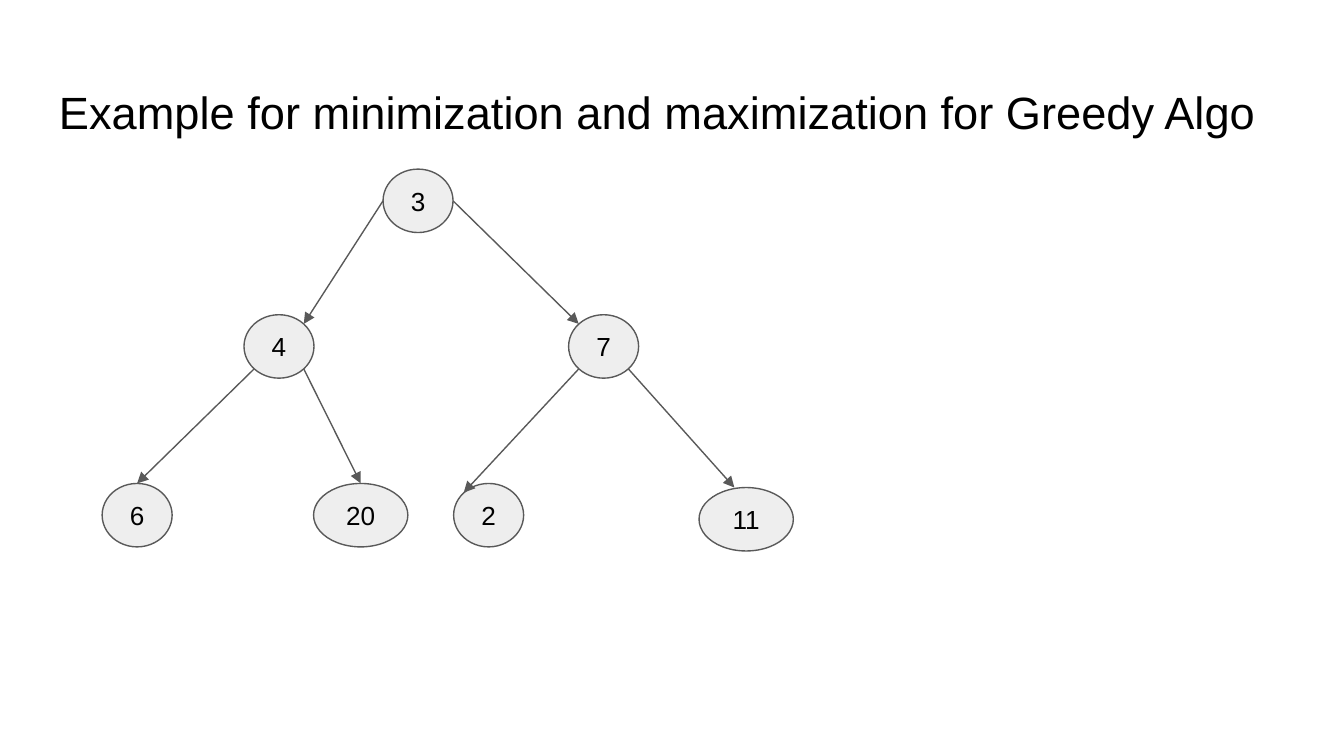
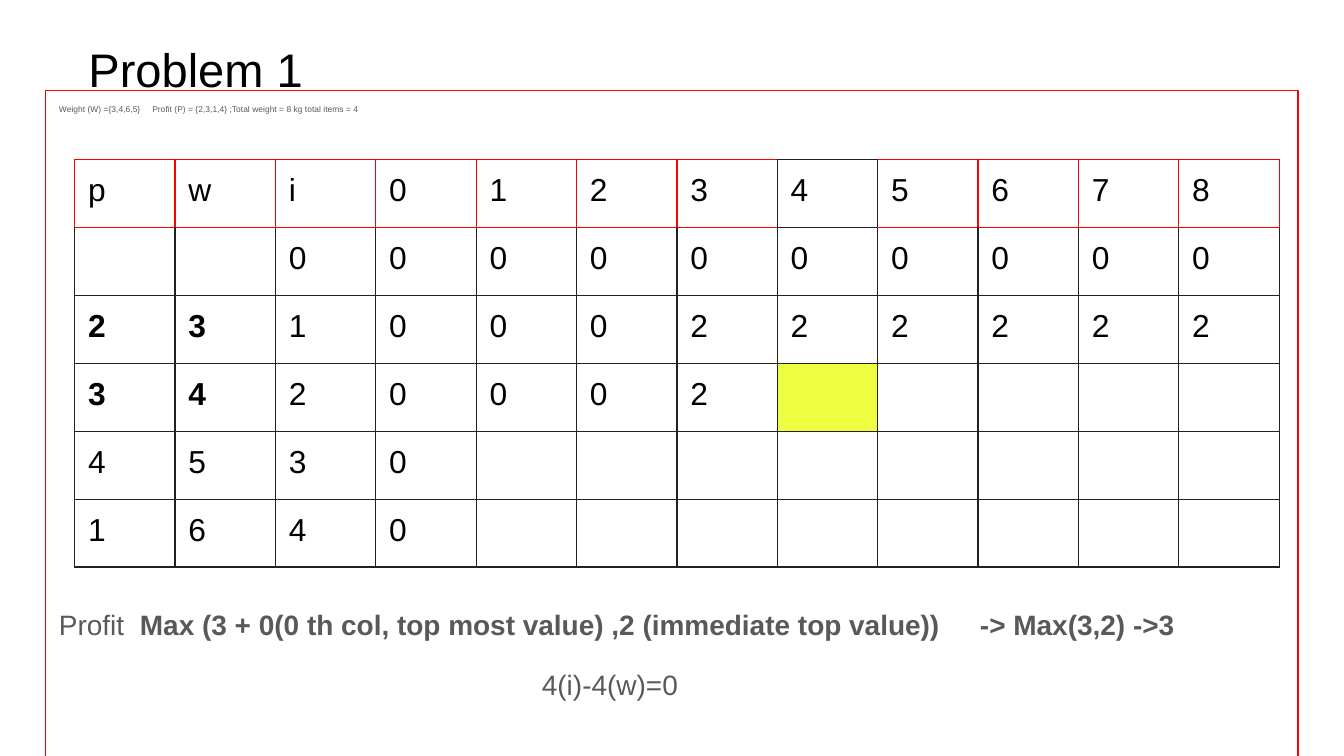
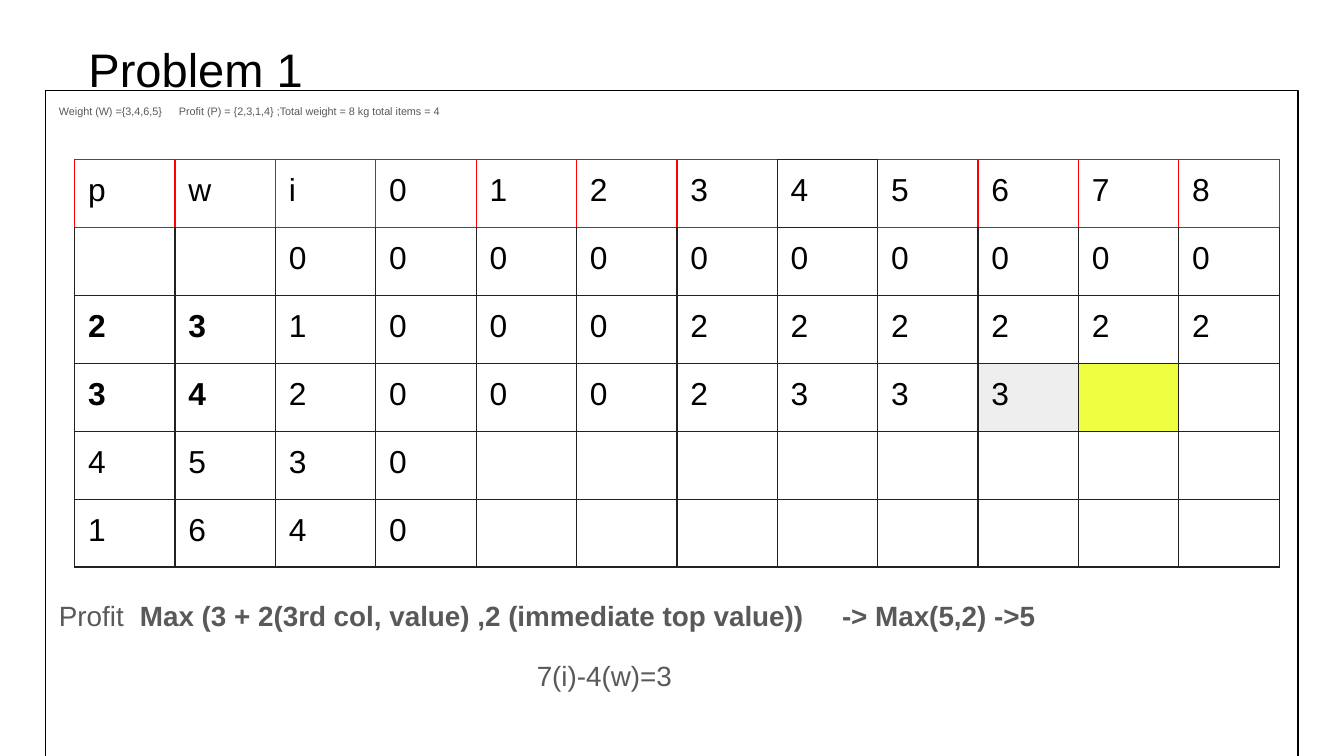
from dataclasses import dataclass

from lxml import etree
from pptx import Presentation
from pptx.dml.color import RGBColor
from pptx.enum.shapes import MSO_CONNECTOR, MSO_SHAPE
from pptx.enum.text import MSO_ANCHOR, PP_ALIGN
from pptx.oxml.ns import qn
from pptx.util import Pt

OVAL = MSO_SHAPE.OVAL
RECTANGLE = MSO_SHAPE.RECTANGLE
STRAIGHT = MSO_CONNECTOR.STRAIGHT
TOP, MIDDLE = MSO_ANCHOR.TOP, MSO_ANCHOR.MIDDLE
LEFT, CENTER = PP_ALIGN.LEFT, PP_ALIGN.CENTER


@dataclass(frozen=True)
class Theme:
    font: str = "Arial"
    ink: str = "000000"
    gray: str = "595959"
    pale: str = "EEEEEE"
    grid: str = "212121"
    red: str = "FF0000"
    yellow: str = "EEFF41"
    white: str = "FFFFFF"
    node_size: float = 14
    cell_size: float = 17
    inset: float = 7.2
    title_inset: float = 10
    stroke: float = 0.75


@dataclass(frozen=True)
class Node:
    label: str
    left: float
    top: float
    width: float = 37.5
    height: float = 34

    def point(self, across, down):
        return (self.left + self.width * (1 + across) / 2,
                self.top + self.height * (1 + down) / 2)


class Deck:
    def __init__(self, theme):
        self.theme = theme
        self.deck = Presentation()
        self.deck.slide_width = Pt(720)
        self.deck.slide_height = Pt(405)
        self.page = None

    def new_page(self):
        self.page = self.deck.slides.add_slide(self.deck.slide_layouts[6])

    def span(self, para, text, size, color, bold=False):
        span = para.add_run()
        span.text = text
        span.font.name = self.theme.font
        span.font.size = Pt(size)
        span.font.bold = bold
        span.font.color.rgb = RGBColor.from_string(color)

    def frame(self, box, anchor=TOP, top_inset=None):
        frame = box.text_frame
        frame.word_wrap = True
        frame.vertical_anchor = anchor
        frame.margin_left = frame.margin_right = Pt(self.theme.inset)
        frame.margin_top = Pt(top_inset or self.theme.inset)
        frame.margin_bottom = Pt(self.theme.inset)
        return frame

    def title(self, text, left, top, height, size):
        box = self.page.shapes.add_textbox(
            Pt(left), Pt(top), Pt(671), Pt(height))
        frame = self.frame(box, top_inset=self.theme.title_inset)
        self.span(frame.paragraphs[0], text, size, self.theme.ink)

    def shape(self, kind, left, top, width, height, line):
        shape = self.page.shapes.add_shape(
            kind, Pt(left), Pt(top), Pt(width), Pt(height))
        shape.shadow.inherit = False
        shape.fill.background()
        shape.line.color.rgb = RGBColor.from_string(line)
        shape.line.width = Pt(self.theme.stroke)
        return shape

    def node(self, node):
        oval = self.shape(OVAL, node.left, node.top, node.width, node.height,
                          self.theme.gray)
        oval.fill.solid()
        oval.fill.fore_color.rgb = RGBColor.from_string(self.theme.pale)
        para = self.frame(oval, MIDDLE).paragraphs[0]
        oval.text_frame.word_wrap = False
        para.alignment = CENTER
        self.span(para, node.label, self.theme.node_size, self.theme.ink)

    def arrow(self, start, end):
        arrow = self.page.shapes.add_connector(
            STRAIGHT, *(Pt(value) for value in (*start, *end)))
        arrow.line.color.rgb = RGBColor.from_string(self.theme.gray)
        arrow.line.width = Pt(self.theme.stroke)
        properties = arrow._element.spPr
        etree.SubElement(properties.find(qn("a:ln")), qn("a:tailEnd"),
                         type="triangle")
        etree.SubElement(properties, qn("a:effectLst"))

    def paragraph(self, para, spans, size, before=0, tabs=(), indent=0):
        properties = para._p.get_or_add_pPr()
        if indent:
            properties.set("marL", str(Pt(indent)))
            properties.set("indent", "0")
        if tabs:
            stops = etree.SubElement(properties, qn("a:tabLst"))
            for tab in tabs:
                etree.SubElement(stops, qn("a:tab"), pos=str(Pt(tab)), algn="l")
        para.alignment = LEFT
        para.line_spacing = 1.05
        if before:
            para.space_before = Pt(before)
        for text, bold in spans:
            self.span(para, text, size, self.theme.gray, bold)

    def body(self, line, paragraphs):
        box = self.shape(RECTANGLE, 24.5, 48.5, 671, 368, line)
        frame = self.frame(box)
        for index, settings in enumerate(paragraphs):
            para = frame.add_paragraph() if index else frame.paragraphs[0]
            self.paragraph(para, **settings)

    def borders(self, cell, colors):
        properties = cell._tc.get_or_add_tcPr()
        for side, color in zip("LRTB", colors):
            line = etree.SubElement(properties, qn(f"a:ln{side}"),
                                    w=str(Pt(self.theme.stroke)))
            fill = etree.SubElement(line, qn("a:solidFill"))
            etree.SubElement(fill, qn("a:srgbClr"), val=color)

    def border_colors(self, row, column):
        red, grid = self.theme.red, self.theme.grid
        if row > 1 or column == 7:
            return [grid] * 4
        if row == 1:
            return [grid, grid, red, grid]
        return [grid if column == 8 else red, grid if column == 6 else red,
                red, red]

    def table(self, rows, fills):
        column_width, row_height = 53.8, 36.4
        count = len(rows[0])
        table = self.page.shapes.add_table(
            len(rows), count, Pt(40), Pt(85.4),
            Pt(column_width * count), Pt(row_height * len(rows))).table
        table.first_row = table.horz_banding = False
        for column in table.columns:
            column.width = Pt(column_width)
        for r, values in enumerate(rows):
            table.rows[r].height = Pt(row_height)
            for c, value in enumerate(values):
                cell = table.cell(r, c)
                cell.margin_left = cell.margin_right = Pt(self.theme.inset)
                cell.margin_top = cell.margin_bottom = Pt(self.theme.inset)
                self.borders(cell, self.border_colors(r, c))
                if (r, c) in fills:
                    cell.fill.solid()
                    cell.fill.fore_color.rgb = RGBColor.from_string(fills[r, c])
                else:
                    cell.fill.background()
                if value:
                    self.span(cell.text_frame.paragraphs[0], value,
                              self.theme.cell_size, self.theme.ink,
                              r in (2, 3) and c < 2)


def tree_page(deck):
    deck.new_page()
    deck.title("Example for minimization and maximization for Greedy Algo",
               24.5, 35, 38, 24.2)
    root = Node("3", 205.2, 90.6)
    four, seven = Node("4", 130.7, 168.6), Node("7", 304.6, 168.6)
    six, twenty = Node("6", 54.7, 259), Node("20", 168, 259, 50.5)
    two, eleven = Node("2", 243, 259), Node("11", 374.5, 261.2, 50.5)
    for node in (root, four, seven, six, twenty, two, eleven):
        deck.node(node)
    slant = 0.71
    for start, end in (
        (root.point(-1, 0), four.point(slant, -slant)),
        (four.point(-slant, slant), six.point(0, -1)),
        (seven.point(-slant, slant), two.point(-slant, -slant)),
        (root.point(1, 0), seven.point(-slant, -slant)),
        (seven.point(slant, slant), eleven.point(-0.25, -1)),
        (four.point(slant, slant), twenty.point(0, -1)),
    ):
        deck.arrow(start, end)


def problem_page(deck, line, note_size, note_tab, size, gap, formula, result,
                 result_tab, step, step_indent, second_row, fills):
    deck.new_page()
    deck.title("Problem 1", 40.3, 11.5, 23, 25.2)
    note = ("Weight (W) ={3,4,6,5}\tProfit (P) = {2,3,1,4} ;"
            "Total weight = 8 kg total items = 4")
    deck.body(line, [
        dict(spans=[(note, False)], size=note_size, tabs=[note_tab]),
        dict(spans=[("Profit\t", False), (f"{formula}\t{result}", True)],
             size=size, before=gap, tabs=[43.4, result_tab]),
        dict(spans=[(step, False)], size=size, before=13, indent=step_indent),
    ])
    rows = ["p w i 0 1 2 3 4 5 6 7 8".split(),
            ["", "", *"0" * 10],
            list("231000222222"),
            list(second_row),
            list("4530"),
            list("1640")]
    deck.table([row + [""] * (12 - len(row)) for row in rows], fills)


def main():
    theme = Theme()
    deck = Deck(theme)
    tree_page(deck)
    problem_page(
        deck, theme.red, 4.5, 50, 15, 263.5,
        "Max (3 + 0(0 th col, top most value) ,2 (immediate top value))",
        "-> Max(3,2) ->3", 493.4, "4(i)-4(w)=0", 258.7,
        "3420002", {(3, 7): theme.yellow})
    problem_page(
        deck, theme.ink, 5.8, 64.3, 14.9, 257,
        "Max (3 + 2(3rd col, value) ,2 (immediate top value))",
        "-> Max(5,2) ->5", 419.5, "7(i)-4(w)=3", 256,
        "3420002333", {(3, 7): theme.white, (3, 8): theme.white,
                       (3, 9): theme.pale, (3, 10): theme.yellow})
    deck.deck.save("out.pptx")


if __name__ == "__main__":
    main()
